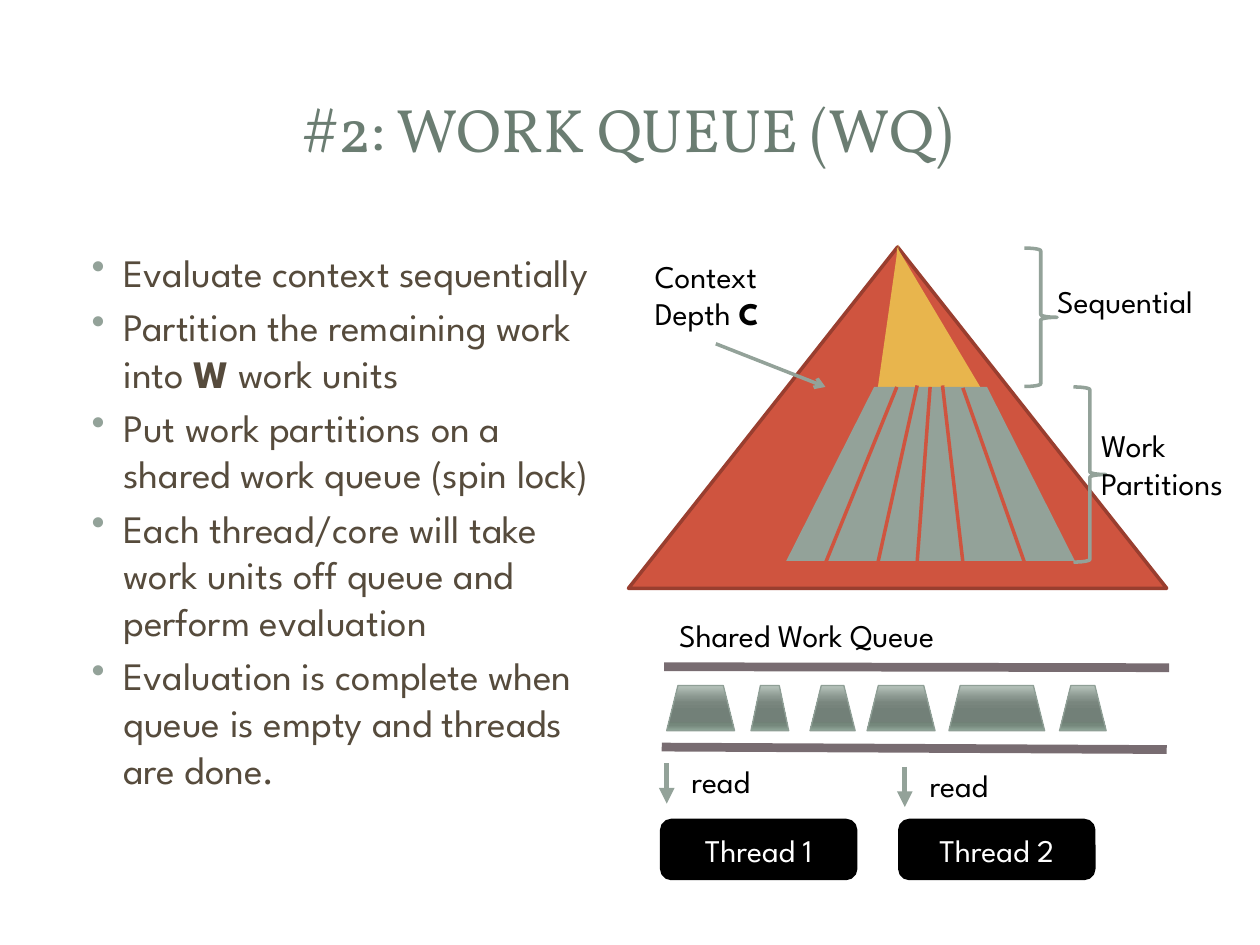
from lxml import etree
from pptx import Presentation
from pptx.dml.color import RGBColor
from pptx.enum import shapes, text
from pptx.oxml import parse_xml
from pptx.oxml.ns import nsdecls, qn
from pptx.util import Cm, Pt

rgb = RGBColor.from_string
SAGE, RUST, GOLD, BLACK = "93A299", "CF543F", "E8B54D", "000000"
SHAPE = shapes.MSO_SHAPE


def write(frame, lines, size=18, colour=BLACK, font="League Spartan"):
    """Write one paragraph per line; words between asterisks are bold."""
    frame.word_wrap = True
    for i, line in enumerate(lines):
        paragraph = frame.add_paragraph() if i else frame.paragraphs[0]
        for j, piece in enumerate(line.split("*")):
            run = paragraph.add_run()
            run.text = piece
            if j % 2:
                run.font.bold = True
        paragraph.font.size = Pt(size)
        paragraph.font.name = font
        paragraph.font.color.rgb = rgb(colour)


def connect(parent, ends, colour, width, arrowhead=None):
    line = parent.add_connector(shapes.MSO_CONNECTOR.STRAIGHT, *map(Cm, ends))
    line.line.color.rgb = rgb(colour)
    line.line.width = Pt(width)
    if arrowhead:
        etree.SubElement(line.line._get_or_add_ln(), qn("a:tailEnd"), type=arrowhead)
    etree.SubElement(line._element.spPr, qn("a:effectLst"))


prs = Presentation()
prs.slide_width, prs.slide_height = Cm(25.4), Cm(19.05)
slide = prs.slides.add_slide(prs.slide_layouts[5])

title = slide.shapes.title
title.left, title.top, title.width, title.height = map(Cm, (1.19, 1.14, 22.94, 2.9))
title.text_frame.vertical_anchor = text.MSO_ANCHOR.MIDDLE
write(title.text_frame, ["#2: WORK QUEUE (WQ)"], 35, "6B7D72", "Vollkorn")
title.text_frame.paragraphs[0].alignment = text.PP_ALIGN.CENTER

# Steps of the algorithm
steps = slide.shapes.add_textbox(*map(Cm, (1.27, 4.88, 11.1, 12.95))).text_frame
for step in steps.paragraphs:
    properties = step._p.get_or_add_pPr()
    properties.set("marL", str(Cm(0.97)))
    properties.set("indent", str(-Cm(0.64)))
write(steps, [
    "Evaluate context sequentially",
    "Partition the remaining work into *W* work units",
    "Put work partitions on a shared work queue (spin lock)",
    "Each thread/core will take work units off queue and perform evaluation",
    "Evaluation is complete when queue is empty and threads are done.",
], 22.2, "564B3C")
for i, step in enumerate(steps.paragraphs):
    properties = step._p.get_or_add_pPr()
    properties.set("marL", str(Cm(0.97)))
    properties.set("indent", str(-Cm(0.64)))
    bullet_colour = parse_xml(f'<a:buClr {nsdecls("a")}><a:srgbClr val="{SAGE}"/></a:buClr>')
    bullet = parse_xml(f'<a:buChar {nsdecls("a")} char="•"/>')
    properties.insert(0, bullet_colour)
    bullet_colour.addnext(bullet)
    if i:
        step.space_before = Pt(4.4)

# Search tree: sequential top, partitioned bottom
tree = slide.shapes.add_group_shape().shapes
for kind, box, fill, outline in [
    (SHAPE.ISOSCELES_TRIANGLE, (12.67, 4.98, 10.85, 6.88), RUST, "993E2F"),
    (SHAPE.RIGHT_TRIANGLE, (18.08, 4.98, 1.68, 2.82), GOLD, None),
    (SHAPE.RIGHT_TRIANGLE, (17.7, 4.93, 0.41, 2.87), GOLD, None),
    (SHAPE.TRAPEZOID, (15.85, 7.8, 5.82, 3.51), SAGE, None),
    (SHAPE.LEFT_BRACE, (20.65, 5, 0.66, 2.79), None, SAGE),
    (SHAPE.LEFT_BRACE, (21.64, 7.8, 0.66, 3.53), None, SAGE),
]:
    part = tree.add_shape(kind, *map(Cm, box))
    part.shadow.inherit = False
    if fill:
        part.fill.solid()
        part.fill.fore_color.rgb = rgb(fill)
    else:
        part.fill.background()
    if outline:
        part.line.color.rgb = rgb(outline)
        part.line.width = Pt(2)
    else:
        part.line.fill.background()
    if kind == SHAPE.LEFT_BRACE:
        part.rotation = 180
    elif kind == SHAPE.TRAPEZOID:
        part.adjustments[0] = 0.505
    elif box[0] == 17.7:
        part._element.spPr.xfrm.set("flipH", "1")

for divider in [
    (18.08, 7.8, 16.64, 11.35),
    (18.49, 7.77, 17.7, 11.33),
    (18.75, 7.8, 18.49, 11.33),
    (19, 7.77, 19.41, 11.33),
    (19.41, 7.82, 20.65, 11.33),
]:
    connect(tree, divider, RUST, 2)
connect(tree, (14.43, 6.93, 16.64, 7.8), SAGE, 2, "arrow")

for parent, box, lines in [
    (tree, (21.06, 5.56, 3.56, 0.69), ["Sequential"]),
    (tree, (21.95, 8.46, 3.28, 1.8), ["Work", "Partitions"]),
    (tree, (12.95, 5.05, 2.95, 1.19), ["Context", "Depth *C*"]),
    (slide.shapes, (13.44, 12.29, 6.76, 1.02), ["Shared Work Queue"]),
]:
    write(parent.add_textbox(*map(Cm, box)).text_frame, lines)

# Shared queue holding work units
for rail in [(13.39, 13.44, 23.57, 13.46), (13.34, 15.06, 23.52, 15.11)]:
    connect(slide.shapes, rail, "786C71", 5)

SHADES = [(0, "B6C3BB"), (25, "8B9890"), (38, "79867E"), (55, "728078"),
          (80, "708176"), (88, "75887C"), (100, "91A79A")]
stops = "".join(f'<a:gs pos="{position * 1000}"><a:srgbClr val="{shade}"/></a:gs>'
                for position, shade in SHADES)
for left, width in [(13.44, 1.37), (15.14, 0.76), (16.33, 0.91),
                    (17.48, 1.37), (19.13, 1.93), (21.36, 0.94)]:
    unit = slide.shapes.add_shape(SHAPE.TRAPEZOID, Cm(left), Cm(13.82), Cm(width), Cm(0.91))
    unit.shadow.inherit = False
    unit.line.color.rgb = rgb("8F9F96")
    unit.line.width = Pt(0.75)
    unit._element.spPr.prstGeom.addnext(parse_xml(
        f'<a:gradFill {nsdecls("a")} rotWithShape="1"><a:gsLst>{stops}</a:gsLst>'
        '<a:lin ang="5400000" scaled="0"/></a:gradFill>'))

# Threads reading from the queue
for name, left, drop in [("Thread 1", 13.34, 0), ("Thread 2", 18.14, 0.07)]:
    thread = slide.shapes.add_shape(SHAPE.ROUNDED_RECTANGLE, Cm(left), Cm(16.54), Cm(3.91), Cm(1.17))
    thread.shadow.inherit = False
    thread.fill.solid()
    thread.fill.fore_color.rgb = rgb(BLACK)
    thread.line.color.rgb = rgb(BLACK)
    thread.line.width = Pt(2)
    write(thread.text_frame, [name], colour="FFFFFF")
    thread.text_frame.vertical_anchor = text.MSO_ANCHOR.MIDDLE
    thread.text_frame.paragraphs[0].alignment = text.PP_ALIGN.CENTER
    connect(slide.shapes, (left + 0.1, 15.39 + drop, left + 0.1, 16.2 + drop), SAGE, 3, "triangle")
    read = slide.shapes.add_textbox(Cm(left + 0.35), Cm(15.24 + drop), Cm(2.01), Cm(1.02))
    write(read.text_frame, ["read"])

prs.save("out.pptx")
